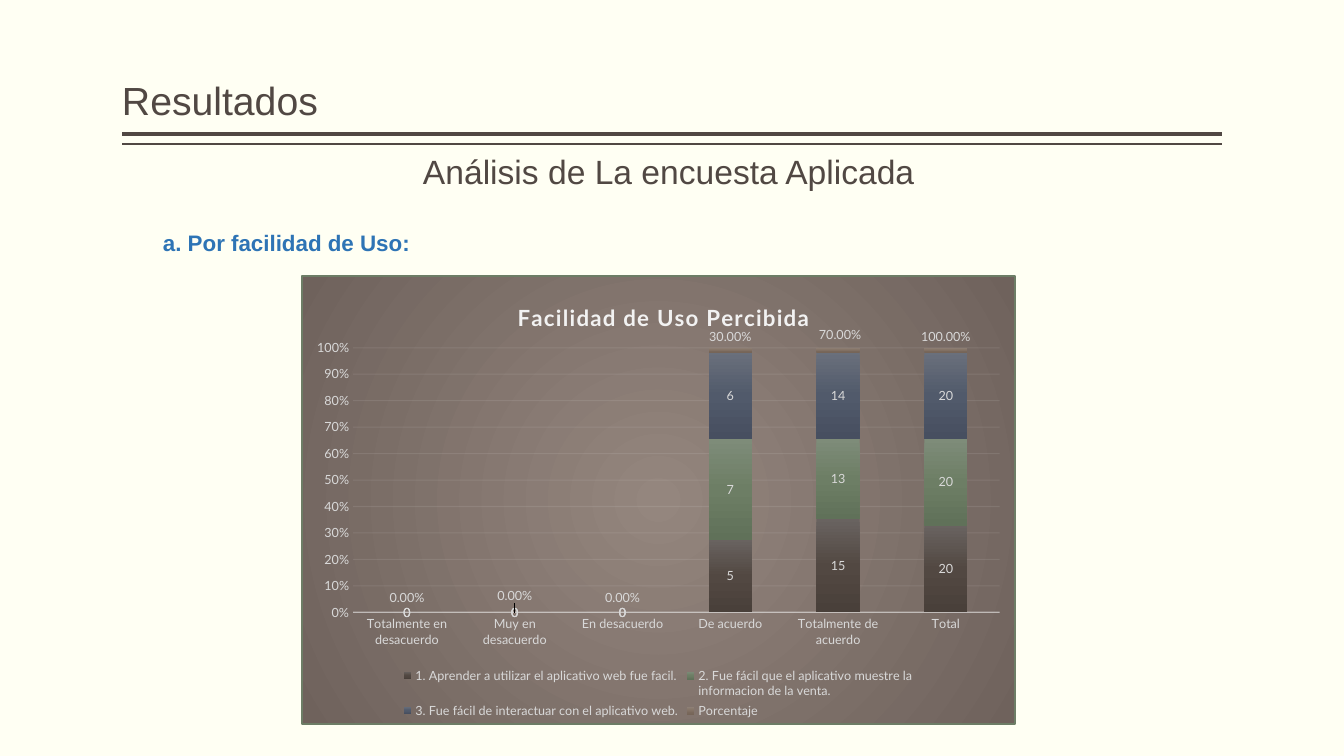
"""Build the survey results slide with its perceived ease of use chart."""
from dataclasses import dataclass

from lxml import etree
from pptx import Presentation
from pptx.chart.data import CategoryChartData
from pptx.dml.color import RGBColor
from pptx.enum.chart import XL_CHART_TYPE, XL_LABEL_POSITION, XL_LEGEND_POSITION, XL_TICK_MARK
from pptx.enum.shapes import MSO_CONNECTOR
from pptx.enum.text import MSO_ANCHOR, PP_ALIGN
from pptx.oxml import parse_xml
from pptx.oxml.ns import nsdecls, qn
from pptx.util import Emu, Pt

STACKED = XL_CHART_TYPE.COLUMN_STACKED_100
CENTER = XL_LABEL_POSITION.CENTER
BOTTOM = XL_LEGEND_POSITION.BOTTOM
NO_TICK = XL_TICK_MARK.NONE
STRAIGHT = MSO_CONNECTOR.STRAIGHT
TOP, LOW = MSO_ANCHOR.TOP, MSO_ANCHOR.BOTTOM
LEFT, JUSTIFY = PP_ALIGN.LEFT, PP_ALIGN.JUSTIFY
EMU_PER_PX = 914400 / 100.8


@dataclass(frozen=True)
class Theme:
    background: str = "FFFFF3"
    ink: str = "514843"
    accent: str = "2E74B5"
    chart_text: str = "D9D9D9"
    chart_light: str = "F2F2F2"
    chart_border: str = "6D7D66"
    chart_glow: tuple = ("94867E", "6F625C")
    text_font: str = "Arial"
    chart_font: str = "Lato"
    title_size: int = 28
    subtitle_size: int = 24
    section_size: int = 16
    chart_title_size: int = 16
    chart_size: int = 10
    label_size: int = 9


@dataclass(frozen=True)
class Heading:
    text: str
    box: tuple
    size: int
    color: str
    bold: bool = False
    anchor: MSO_ANCHOR = LOW
    align: PP_ALIGN = LEFT
    side_inset: int = 0
    spacing: float = 0.9


@dataclass(frozen=True)
class Rule:
    y: int
    weight: int


@dataclass(frozen=True)
class Question:
    name: str
    answers: tuple
    gradient: tuple
    number_format: str = "General"


THEME = Theme()
HEADINGS = (
    Heading("Resultados", (122, 8, 1101, 121), THEME.title_size, THEME.ink),
    Heading("a. Por facilidad de Uso:", (153, 222, 269, 39), THEME.section_size,
            THEME.accent, True, TOP, JUSTIFY, 10, 1.07),
    Heading("Análisis de La encuesta Aplicada", (423, 146, 498, 51),
            THEME.subtitle_size, THEME.ink),
)
RULES = (Rule(134, 3), Rule(144, 1))
RULE_LEFT, RULE_RIGHT = 122, 1222
CHART_BOX = (301, 275, 715, 450)
CATEGORIES = ("Totalmente en desacuerdo", "Muy en desacuerdo", "En desacuerdo",
              "De acuerdo", "Totalmente de acuerdo", "Total")
QUESTIONS = (
    Question("1. Aprender a utilizar el aplicativo web fue facil.",
             (0, 0, 0, 5, 15, 20), ("696360", "524842", "49403A")),
    Question("2. Fue fácil que el aplicativo muestre la\ninformacion de la venta.",
             (0, 0, 0, 7, 13, 20), ("7E8C79", "6D7E65", "607159")),
    Question("3. Fue fácil de interactuar con el aplicativo web.",
             (0, 0, 0, 6, 14, 20), ("6A707C", "515A6B", "474F60")),
    Question("Porcentaje", (0, 0, 0, 0.3, 0.7, 1),
             ("908379", "837265", "766558"), "0.00%"),
)
PERCENT_SHIFTS = ((0, -15), (0, -17), (0, -15), (0, -13), (2, -15), (0, -13))


def px(length: int) -> Emu:
    """Turn pixels into EMU."""
    return Emu(round(length * EMU_PER_PX))


def style_font(font, size: int, color: str, family: str, bold: bool = False) -> None:
    """Set size, colour, family and weight of a font."""
    font.size, font.name, font.bold = Pt(size), family, bold
    font.color.rgb = RGBColor.from_string(color)


def style_line(line, color: str, weight: float, opacity: int = 100) -> None:
    """Set colour, width and opacity of a line."""
    line.color.rgb = RGBColor.from_string(color)
    line.width = Pt(weight)
    paint = next(line._ln.iter(qn("a:srgbClr")))
    etree.SubElement(paint, qn("a:alpha")).set("val", str(opacity * 1000))


def gradient(colors: tuple, shade: str):
    """Return a gradient fill with evenly spaced colours."""
    stops = "".join(
        f'<a:gs pos="{i * 100000 // (len(colors) - 1)}"><a:srgbClr val="{color}"/></a:gs>'
        for i, color in enumerate(colors))
    return parse_xml(f'<a:gradFill {nsdecls("a")}><a:gsLst>{stops}</a:gsLst>{shade}</a:gradFill>')


def manual_layout(inner: bool = False, edge: bool = True, **parts: int):
    """Return a chart layout from pixel offsets and sizes."""
    _, _, width, height = CHART_BOX
    target = '<c:layoutTarget val="inner"/>' if inner else ""
    modes = '<c:xMode val="edge"/><c:yMode val="edge"/>' if edge else ""
    values = "".join(
        f'<c:{key} val="{value / (width if key in "xw" else height):.4f}"/>'
        for key, value in parts.items())
    return parse_xml(f'<c:layout {nsdecls("c")}><c:manualLayout>{target}{modes}{values}'
                     '</c:manualLayout></c:layout>')


def place(element, layout, before: tuple) -> None:
    """Give a chart part its layout, ahead of the first named sibling."""
    for old in element.findall(qn("c:layout")):
        element.remove(old)
    follower = next(child for child in element if child.tag in map(qn, before))
    follower.addprevious(layout)


def add_heading(slide, heading: Heading) -> None:
    """Add one line of heading text."""
    frame = slide.shapes.add_textbox(*map(px, heading.box)).text_frame
    frame.word_wrap = True
    frame.vertical_anchor = heading.anchor
    frame.margin_left = frame.margin_right = px(heading.side_inset)
    frame.margin_top = frame.margin_bottom = px(5)
    paragraph = frame.paragraphs[0]
    paragraph.alignment, paragraph.line_spacing = heading.align, heading.spacing
    run = paragraph.add_run()
    run.text = heading.text
    style_font(run.font, heading.size, heading.color, THEME.text_font, heading.bold)


def add_rule(slide, rule: Rule) -> None:
    """Add a horizontal rule below the title."""
    connector = slide.shapes.add_connector(
        STRAIGHT, px(RULE_RIGHT), px(rule.y), px(RULE_LEFT), px(rule.y))
    style_line(connector.line, THEME.ink, rule.weight)
    etree.SubElement(connector._element.spPr, qn("a:effectLst"))


def style_series(series, question: Question) -> None:
    """Fill one series and label its values."""
    series.format.fill.solid()
    solid = series._element.find(qn("c:spPr")).find(qn("a:solidFill"))
    solid.getparent().replace(solid, gradient(question.gradient, '<a:lin ang="5400000" scaled="0"/>'))
    series.format.line.fill.background()
    labels = series.data_labels
    labels.show_value, labels.position = True, CENTER
    labels.number_format, labels.number_format_is_linked = question.number_format, False
    style_font(labels.font, THEME.label_size, THEME.chart_text, THEME.chart_font)


def shift_labels(series, number_format: str) -> None:
    """Lift the percentage labels above their columns."""
    for index, (x, y) in enumerate(PERCENT_SHIFTS):
        label = series.points[index].data_label
        style_font(label.font, THEME.label_size, THEME.chart_text, THEME.chart_font)
        label.position = CENTER
    for element, (x, y) in zip(series._element.iter(qn("c:dLbl")), PERCENT_SHIFTS):
        element.insert(1, manual_layout(edge=False, x=x, y=y))
        element.insert(2, parse_xml(
            f'<c:numFmt {nsdecls("c")} formatCode="{number_format}" sourceLinked="0"/>'))


def style_axes(chart) -> None:
    """Style both axes and the grid."""
    for axis in (chart.category_axis, chart.value_axis):
        axis.major_tick_mark = axis.minor_tick_mark = NO_TICK
        style_font(axis.tick_labels.font, THEME.label_size, THEME.chart_text, THEME.chart_font)
    style_line(chart.category_axis.format.line, THEME.chart_light, 1, 54)
    values = chart.value_axis
    values.minimum_scale, values.maximum_scale, values.major_unit = 0, 1, 0.1
    values.tick_labels.number_format = "0%"
    values.tick_labels.number_format_is_linked = False
    values.format.line.fill.background()
    style_line(values.major_gridlines.format.line, THEME.chart_light, 0.75, 10)


def add_survey_chart(slide) -> None:
    """Add the stacked survey chart."""
    data = CategoryChartData()
    data.categories = CATEGORIES
    for question in QUESTIONS:
        data.add_series(question.name, question.answers, question.number_format)
    chart = slide.shapes.add_chart(STACKED, *map(px, CHART_BOX), data).chart
    style_font(chart.font, THEME.chart_size, THEME.ink, THEME.chart_font)
    plot = chart.plots[0]
    plot.gap_width, plot.overlap, plot.vary_by_categories = 150, 100, False
    for series, question in zip(plot.series, QUESTIONS):
        style_series(series, question)
    shift_labels(plot.series[-1], QUESTIONS[-1].number_format)
    style_axes(chart)

    title = chart.chart_title
    run = title.text_frame.paragraphs[0].add_run()
    run.text = "Facilidad de Uso Percibida"
    style_font(run.font, THEME.chart_title_size, THEME.chart_light, THEME.chart_font, True)
    run.font._element.set("spc", "100")
    chart.has_legend = True
    legend = chart.legend
    legend.position, legend.include_in_layout = BOTTOM, False
    style_font(legend.font, THEME.label_size, THEME.chart_text, THEME.chart_font)
    place(title._element, manual_layout(x=212, y=22), ("c:overlay",))
    place(legend._element, manual_layout(x=97, y=390, w=520, h=58), ("c:overlay",))
    area = chart._chartSpace.chart.plotArea
    place(area, manual_layout(inner=True, x=51, y=72, w=649, h=266), ("c:barChart",))

    frame = parse_xml(
        f'<c:spPr {nsdecls("c", "a")}><a:ln w="{Pt(1.75)}"><a:solidFill>'
        f'<a:srgbClr val="{THEME.chart_border}"/></a:solidFill></a:ln></c:spPr>')
    frame.insert(0, gradient(THEME.chart_glow, '<a:path path="circle"><a:fillToRect l="50000" '
                             't="50000" r="50000" b="50000"/></a:path>'))
    chart._chartSpace.chart.addnext(frame)


def main() -> None:
    """Build and save the slide."""
    deck = Presentation()
    deck.slide_width, deck.slide_height = px(1344), px(756)
    slide = deck.slides.add_slide(deck.slide_layouts[6])
    slide.background.fill.solid()
    slide.background.fill.fore_color.rgb = RGBColor.from_string(THEME.background)
    for rule in RULES:
        add_rule(slide, rule)
    for heading in HEADINGS:
        add_heading(slide, heading)
    add_survey_chart(slide)
    deck.save("out.pptx")


if __name__ == "__main__":
    main()
